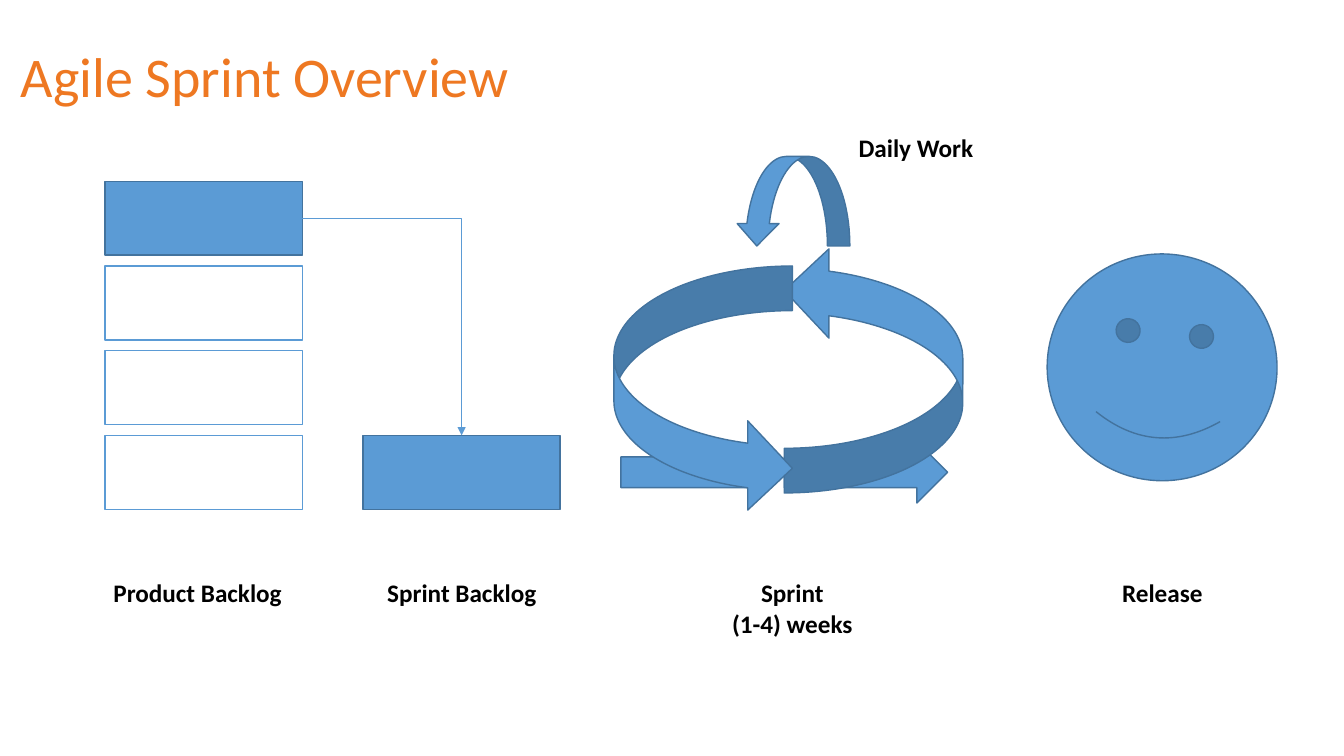
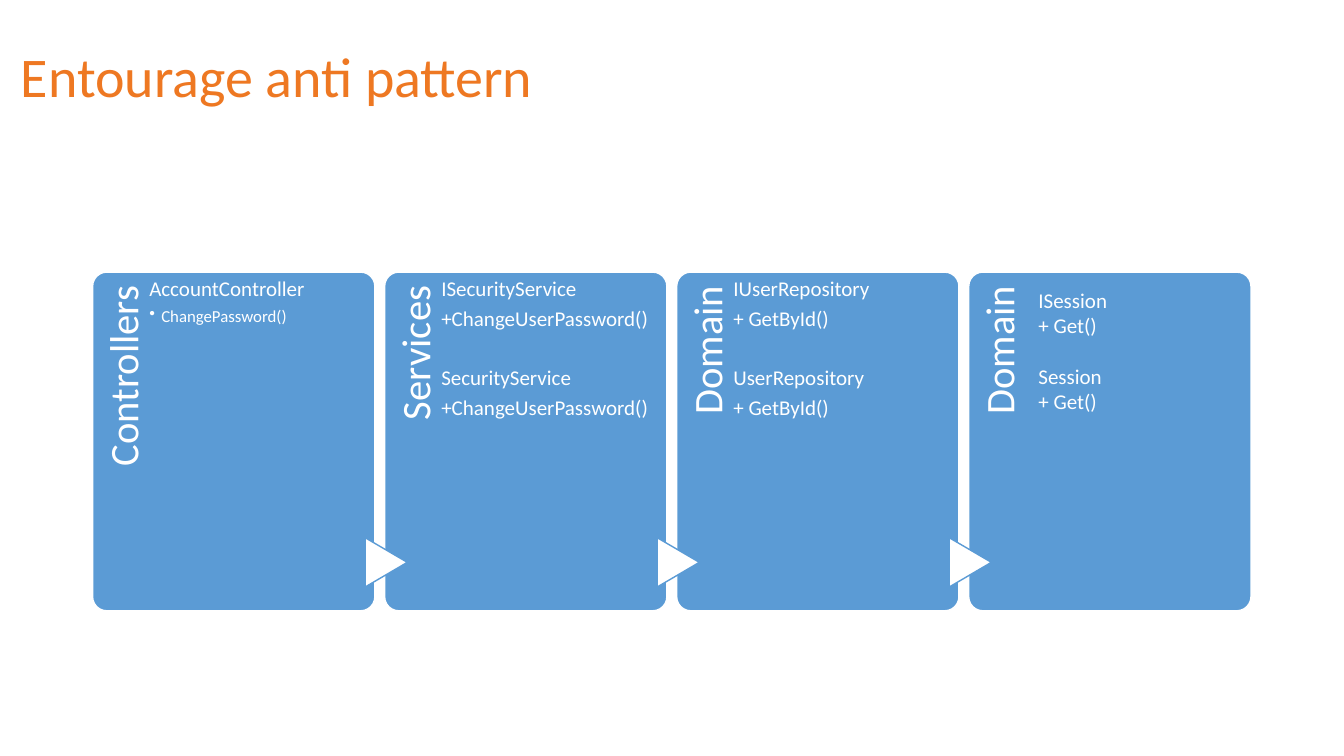
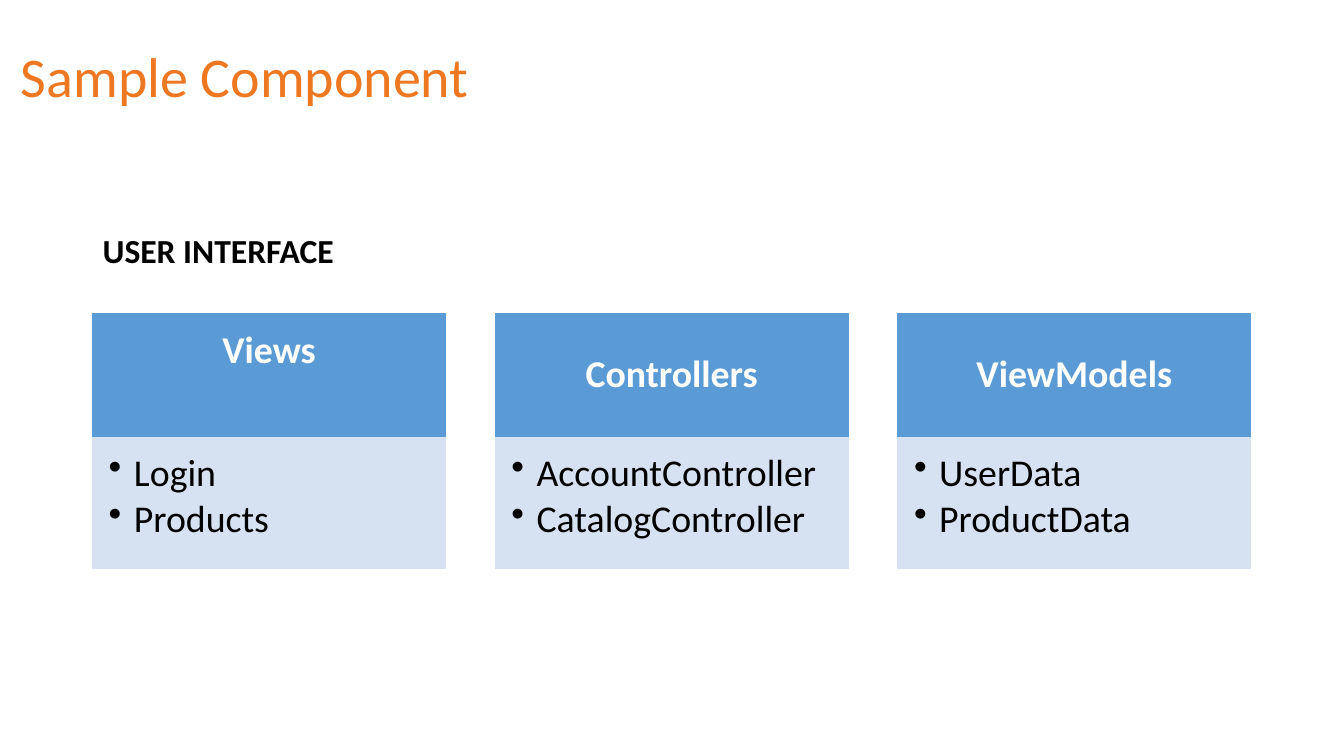
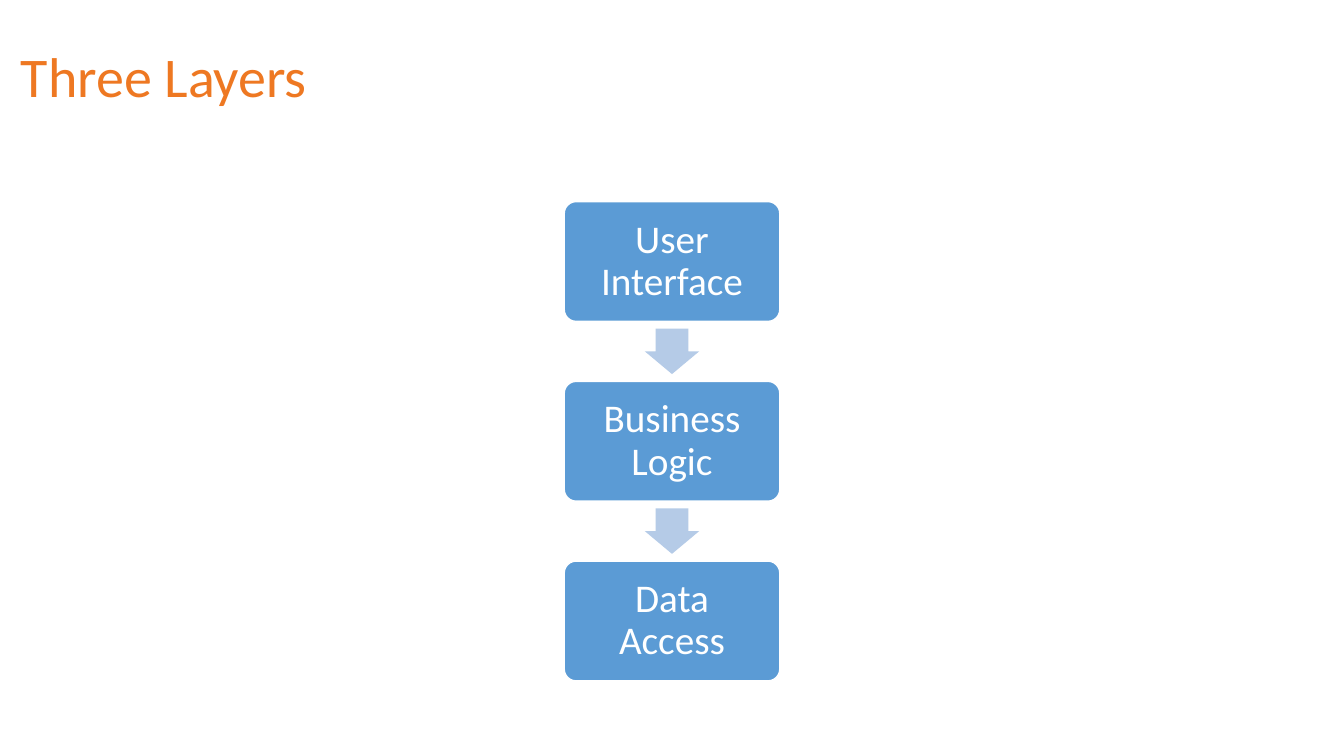
"""Build four slides on sprints and software layers."""
from lxml.etree import SubElement
from pptx import Presentation
from pptx.dml.color import RGBColor
from pptx.enum.shapes import MSO_CONNECTOR, MSO_SHAPE
from pptx.enum.text import MSO_ANCHOR, PP_ALIGN
from pptx.oxml.ns import qn
from pptx.util import Pt

HUES = {
    "title": "EE7822",
    "blue": "5B9BD5",
    "edge": "43739E",
    "pale": "D6E1F1",
    "arrow": "B5CBE7",
    "white": "FFFFFF",
    "black": "000000",
}
FONT = "Calibri"
LEFT, MID, RIGHT = PP_ALIGN.LEFT, PP_ALIGN.CENTER, PP_ALIGN.RIGHT
TITLES = ["Agile Sprint Overview", "Entourage anti pattern", "Sample Component", "Three Layers"]


def draw(slide, kind, box, fill, line=None, turn=0, adj=()):
    """Add a preset shape with flat fill and an optional outline."""
    shape = slide.shapes.add_shape(kind, *map(Pt, box))
    shape.shadow.inherit = False
    shape.rotation = turn
    shape.fill.solid()
    shape.fill.fore_color.rgb = RGBColor.from_string(HUES[fill])
    if line:
        shape.line.color.rgb = RGBColor.from_string(HUES[line])
        shape.line.width = Pt(1)
    else:
        shape.line.fill.background()
    for i, value in enumerate(adj):
        shape.adjustments[i] = value
    return shape


def write(shape, text, size, hue="black", bold=False, align=LEFT, anchor=MSO_ANCHOR.TOP,
          pad=(7.2, 3.6, 7.2, 3.6), lead=1, after=0, dot=0):
    """Fill a shape with styled lines; lines that start with a bullet hang by dot."""
    frame = shape.text_frame
    frame.text = text
    frame.word_wrap = True
    frame.vertical_anchor = anchor
    frame.margin_left, frame.margin_top, frame.margin_right, frame.margin_bottom = map(Pt, pad)
    for para in frame.paragraphs:
        para.alignment = align
        para.line_spacing = lead
        para.space_after = Pt(after)
        if para.text.startswith("• "):
            para.text = para.text[2:]
            props = para._p.get_or_add_pPr()
            props.set("marL", str(Pt(dot)))
            props.set("indent", str(-Pt(dot)))
            SubElement(props, qn("a:buChar")).set("char", "•")
        for run in para.runs:
            run.font.name = FONT
            run.font.size = Pt(size)
            run.font.bold = bold
            run.font.color.rgb = RGBColor.from_string(HUES[hue])
    return frame


deck = Presentation()
deck.slide_width, deck.slide_height = Pt(960), Pt(540)
slides = []
for title in TITLES:
    slide = deck.slides.add_slide(deck.slide_layouts[6])
    box = slide.shapes.add_textbox(Pt(7.9), Pt(4.3), Pt(828), Pt(104.4))
    write(box, title, 40, "title", anchor=MSO_ANCHOR.MIDDLE, lead=0.9)
    slides.append(slide)
sprint, chain, parts, layers = slides

items = []
for row in range(4):
    fill, line = ("white", "blue") if row else ("blue", "edge")
    items.append(draw(sprint, MSO_SHAPE.RECTANGLE, (75, 129.5 + 60.5 * row, 141, 52.8), fill, line))
goal = draw(sprint, MSO_SHAPE.RECTANGLE, (259.2, 311, 141, 52.8), "blue", "edge")

link = sprint.shapes.add_connector(MSO_CONNECTOR.ELBOW, Pt(216), Pt(156), Pt(329.7), Pt(311))
link.begin_connect(items[0], 3)
link.end_connect(goal, 0)
link.line.color.rgb = RGBColor.from_string(HUES["blue"])
link.line.width = Pt(0.5)
link._element.spPr.find(qn("a:prstGeom")).set("prst", "bentConnector2")
SubElement(link.line._get_or_add_ln(), qn("a:tailEnd")).set("type", "triangle")
SubElement(link._element.spPr, qn("a:effectLst"))

for left in (443.5, 560.2):
    draw(sprint, MSO_SHAPE.RIGHT_ARROW, (left, 315.4, 116.7, 43.9), "blue", "edge")
for box, turn, adj in [
    ((560.2, 175.7, 127.5, 176.4), 180, ()),
    ((438.5, 190, 127.5, 176.4), 0, ()),
    ((534.3, 103, 64, 81.4), 90, (0.25, 0.468, 0.25)),
]:
    draw(sprint, MSO_SHAPE.CURVED_RIGHT_ARROW, box, "blue", "edge", turn, adj)
draw(sprint, MSO_SHAPE.SMILEY_FACE, (748, 181.4, 164.2, 162), "blue", "edge", 4.6)

for left, top, width, label, align in [
    (66.2, 409, 150, "Product Backlog", MID),
    (254.9, 409, 150, "Sprint Backlog", MID),
    (491, 409, 150, "Sprint\n(1-4) weeks", MID),
    (755.3, 409, 150, "Release", MID),
    (606.2, 90.7, 107.3, "Daily Work", LEFT),
]:
    high = 51 if "\n" in label else 28.8
    write(sprint.shapes.add_textbox(Pt(left), Pt(top), Pt(width), Pt(high)),
          label, 18, bold=True, align=align)

STEP = 208.6
close = {"pad": (37.5, 1.4, 8, 0), "lead": 0.9, "after": 5}
loose = {"pad": (46.8, 7.9, 0, 0)}
for col, (name, body, style, gap) in enumerate([
    ("Controllers", "AccountController\n• ChangePassword()", close, 0),
    ("Services", "ISecurityService\n+ChangeUserPassword()\nSecurityService\n+ChangeUserPassword()", close, 21.5),
    ("Domain", "IUserRepository\n+ GetById()\nUserRepository\n+ GetById()", close, 21.5),
    ("Domain", "ISession\n+ Get()\nSession\n+ Get()", loose, 18.3),
]):
    left = 66.2 + STEP * col
    card = draw(chain, MSO_SHAPE.ROUNDED_RECTANGLE, (left, 194.4, 201.6, 241.9), "blue", "white", adj=[0.05])
    frame = write(card, body, 15, "white", dot=8.6, **style)
    if gap:
        frame.paragraphs[2].space_before = Pt(gap)
    else:
        frame.paragraphs[1].runs[0].font.size = Pt(12)
    side = chain.shapes.add_textbox(Pt(left - 79.2), Pt(272.9), Pt(198), Pt(40.3))
    side.rotation = 270
    write(side, name, 29, "white", align=RIGHT, pad=(0, 7.9, 10, 0), lead=0.9)
for col in range(3):
    draw(chain, MSO_SHAPE.FLOWCHART_EXTRACT, (258.2 + STEP * col, 386.6, 35.3, 30.2), "white", "blue", 90)

write(parts.shapes.add_textbox(Pt(66.2), Pt(160.6), Pt(193.7), Pt(36)), "USER INTERFACE", 24, bold=True)
for col, (name, body, lift) in enumerate([
    ("Views", "• Login\n• Products", 34.5),
    ("Controllers", "• AccountController\n• CatalogController", 0),
    ("ViewModels", "• UserData\n• ProductData", 0),
]):
    left = 66.2 + 287.6 * col
    head = draw(parts, MSO_SHAPE.RECTANGLE, (left, 223.9, 252, 88.6), "blue", "blue")
    write(head, name, 27, "white", True, MID, MSO_ANCHOR.MIDDLE, (15, 8.6, 15, 8.6 + lift), 0.9)
    base = draw(parts, MSO_SHAPE.RECTANGLE, (left, 312.5, 252, 93.6), "pale", "pale")
    write(base, body, 27, pad=(11.5, 11.5, 15, 17), lead=0.9, after=4, dot=18)

for row, name in enumerate(["User Interface", "Business Logic", "Data Access"]):
    top = 144 + 128.4 * row
    card = draw(layers, MSO_SHAPE.ROUNDED_RECTANGLE, (403, top, 154, 85.6), "blue", "white", adj=[0.1])
    write(card, name, 28, "white", False, MID, MSO_ANCHOR.MIDDLE, (8.6,) * 4, 0.9)
    if row < 2:
        draw(layers, MSO_SHAPE.DOWN_ARROW, (460.6, top + 90.8, 38.8, 32.4), "arrow", adj=(0.6, 0.5))

deck.save("out.pptx")
